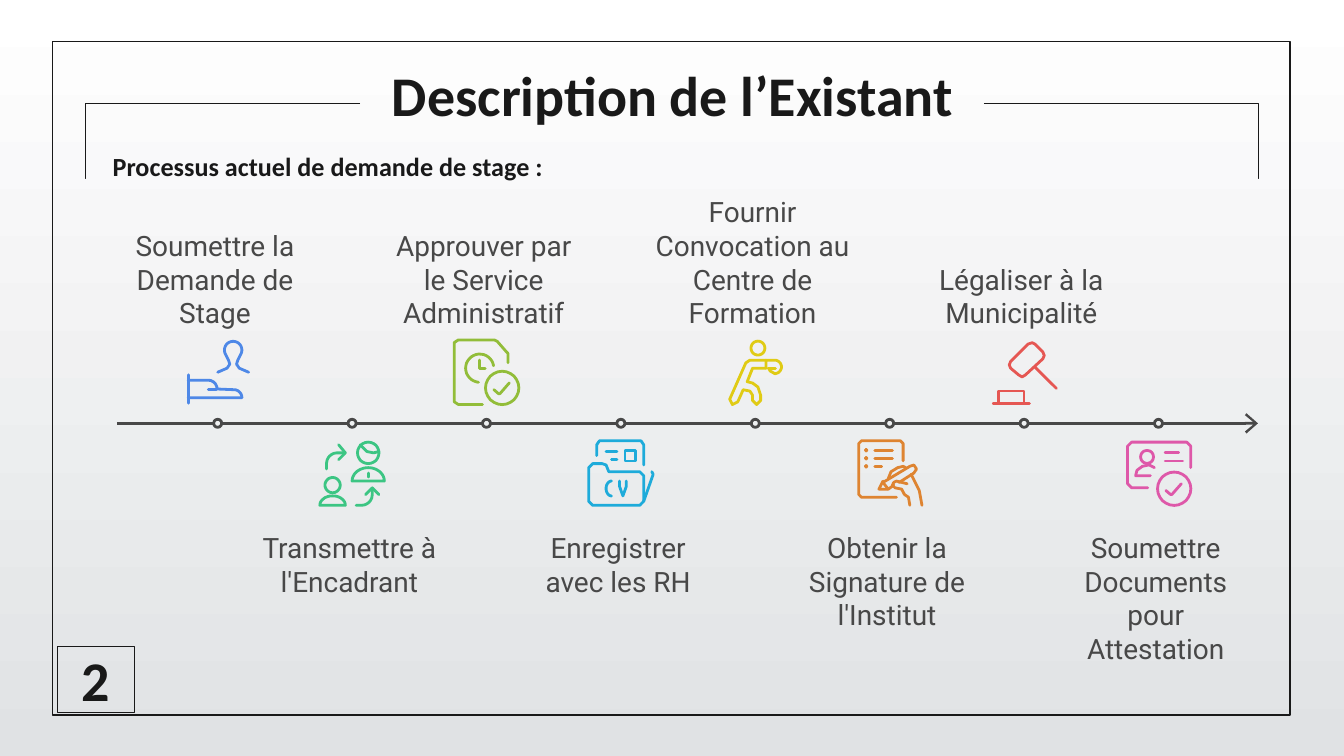
"""Build the slide on the current internship request process."""
from math import cos, radians, sin

from lxml import etree
from pptx import Presentation
from pptx.dml.color import RGBColor
from pptx.enum.shapes import MSO_CONNECTOR, MSO_SHAPE
from pptx.enum.text import MSO_ANCHOR, PP_ALIGN
from pptx.oxml.ns import qn
from pptx.util import Inches, Pt

RECT, OVAL = MSO_SHAPE.RECTANGLE, MSO_SHAPE.OVAL
LINE, ELBOW = MSO_CONNECTOR.STRAIGHT, MSO_CONNECTOR.ELBOW
TOP, MIDDLE, BOTTOM = MSO_ANCHOR.TOP, MSO_ANCHOR.MIDDLE, MSO_ANCHOR.BOTTOM
CENTER = PP_ALIGN.CENTER

INK = RGBColor(0x19, 0x19, 0x19)
GREY = RGBColor(0x48, 0x48, 0x48)
WHITE = RGBColor(0xFF, 0xFF, 0xFF)
MIST = RGBColor(0xE0, 0xE2, 0xE4)
BLUE = RGBColor(0x4E, 0x88, 0xE7)
GREEN = RGBColor(0x3C, 0xC5, 0x83)
LIME = RGBColor(0x92, 0xBD, 0x39)
CYAN = RGBColor(0x1E, 0xAB, 0xDA)
GOLD = RGBColor(0xE0, 0xCB, 0x15)
AMBER = RGBColor(0xDE, 0x84, 0x31)
RED = RGBColor(0xE5, 0x57, 0x53)
PINK = RGBColor(0xDE, 0x58, 0xA9)

WIDE = 10
HIGH = WIDE * 9 / 16
FIRST, PITCH, ROW = 1.62, 1, 0.25
AXIS, START, END = 3.15, 0.87, 9.36
RADIUS, ICON = 0.03, 0.48
ABOVE, BELOW = 2.53, 3.28


def arc(x, y, r, a=0, b=360, ry=None):
    """Return points along an elliptical arc, with angles in degrees."""
    turns = [radians(a + (b - a) * i / 24) for i in range(25)]
    return [(x + r * cos(t), y + (ry or r) * sin(t)) for t in turns]


TICK = [arc(35.7, 35.7, 12.4), [(41, 32), (34, 40), (33, 40), (29.5, 37)]]
HAND = [
    [(2, 47), (2, 26)], [(23, 37), (17, 37)],
    [(2, 30), *arc(17, 36.5, 6.5, -90, 0), *arc(36, 43, 6, -90, 0), (2, 43)],
    [(47, 24), (40, 21), (38, 18), (39, 15), *arc(35.5, 7.5, 6.5, 30, -210),
     (32, 15), (33, 18), (31, 21), (24, 24)]]
SWAP = [
    arc(9.5, 33, 5.7), [*arc(9.5, 48, 9.5, -180, 0, 7), (0, 48)],
    arc(36, 9, 8), [*arc(36, 30, 12, -180, 0, 10), (24, 30)],
    [(44, 8), (40, 9), (35, 8), (30, 3)], [(36, 24), (36, 27)],
    [(27, 48), *arc(31, 40, 8, 90, 0), (39, 35)], [(34, 40), (39, 35), (44, 40)],
    [(5, 21), *arc(13, 17, 8, 180, 270), (19, 9)], [(14, 14), (19, 9), (14, 3)]]
CLOCK = [
    [(21, 48), (3, 48), (0, 46), (0, 2), (3, 0), (30, 0), (32, 1), (39, 9), (40, 10), (40, 17)],
    arc(19, 21, 10.5, 95, 350), [(19, 15), (19, 21), (23, 21)], *TICK]
FOLDER = [
    [(15, 23), (13, 18), (10, 17), (3, 17), (0, 20), (0, 45), (3, 48), (38, 48), (41, 45),
     (41, 26), (38, 23), (15, 23)],
    [(6, 11), (6, 3), (8, 0), (39, 0), (41, 3), (41, 18)], [(47, 23), (48, 25), (41, 45)],
    arc(17, 35.5, 4, -90, -270, 5.5), [(23, 30), (23, 34), (25.5, 41), (28, 34), (28, 30)],
    [(27, 7), (35, 7), (35, 15), (27, 15), (27, 7)], [(13, 8), (21, 8)], [(17, 14), (21, 14)]]
WALKER = [
    arc(26, 6, 5.2), [(34, 21), (39, 21)],
    [(32, 21), (32, 15), *arc(38.5, 20, 5, -90, 90), (35, 23), (34, 21)],
    [(32, 15), (20, 15), (17, 17), (5, 44), (7, 48), (11, 46), (15, 37), (20, 38), (22, 41),
     (22, 45), (25, 48), (28, 45), (28, 41), (26, 35), (22, 32), (18, 31), (22, 21), (32, 21)]]
PEN = [
    [(29, 42), (3, 42), (1, 40), (1, 2), (3, 0), (32, 0), (34, 2), (34, 15)],
    *[[(13, y), (x, y)] for y, x in ((7, 26), (13, 26), (19, 18))],
    *[arc(6.5, y, 0.5) for y in (7, 13, 19)],
    [(36, 20), (34, 19), (30, 20), (25, 23), (23, 28)], [(19, 30), (16, 36), (23, 36)],
    [(31, 31), (42, 24), (44, 21), (42, 18), (39, 19), (19, 31), (23, 36), (27, 33)],
    [(37, 32), (29, 30), (27, 31), (26, 33), (28, 35), (33, 36), (35, 40), (38, 42), (39, 48)],
    [(48, 48), (46, 37), (40, 25)]]
GAVEL = [
    [(1, 47), (28, 47)], [(24, 47), (24, 38), (5, 38), (5, 47)], [(32, 20), (48, 36)],
    [(14, 16), (27, 3), (30, 2), (32, 3), (38, 9), (39, 11.5), (38, 14), (25, 26),
     (22.5, 27.5), (20, 26), (14, 21), (13, 18.5), (14, 16)]]
CARD = [
    [(48, 20), (48, 4), (45, 1), (4, 1), (1, 4), (1, 32), (4, 35), (16, 35)],
    arc(15.5, 12, 4.8), [(18, 26), (7, 26), (8, 22), (12, 19), (17, 18), (21, 20)],
    [(29, 9), (39, 9)], [(29, 15), (42, 15)], *TICK]
STEPS = [
    ("Soumettre la\vDemande de\vStage", BLUE, HAND),
    ("Transmettre à\vl'Encadrant", GREEN, SWAP),
    ("Approuver par\vle Service\vAdministratif", LIME, CLOCK),
    ("Enregistrer\vavec les RH", CYAN, FOLDER),
    ("Fournir\vConvocation au\vCentre de\vFormation", GOLD, WALKER),
    ("Obtenir la\vSignature de\vl'Institut", AMBER, PEN),
    ("Légaliser à la\vMunicipalité", RED, GAVEL),
    ("Soumettre\vDocuments\vpour\vAttestation", PINK, CARD)]


def style(shape, color, width):
    """Leave a shape hollow, with a plain outline."""
    shape.shadow.inherit = False
    shape.fill.background()
    shape.line.color.rgb, shape.line.width = color, Pt(width)


def outline(slide, kind, box, color, width):
    """Add a hollow preset shape."""
    shape = slide.shapes.add_shape(kind, *map(Inches, box))
    style(shape, color, width)
    return shape


def write(shape, text, size, font, color, bold=False, anchor=TOP, pad=0.1):
    """Put centred text into a shape."""
    frame = shape.text_frame
    frame.text, frame.word_wrap, frame.vertical_anchor = text, True, anchor
    frame.margin_top = frame.margin_bottom = Inches(pad)
    para = frame.paragraphs[0]
    para.alignment = CENTER
    for run in para.runs:
        run.font.size, run.font.name, run.font.bold = Pt(size), font, bold
        run.font.color.rgb = color
    return para


def label(slide, box, *args, **more):
    """Add a text box."""
    return write(slide.shapes.add_textbox(*map(Inches, box)), *args, **more)


def link(slide, kind, ends, color, width):
    """Add a connector without shadow."""
    line = slide.shapes.add_connector(kind, *map(Inches, ends))
    line.line.color.rgb, line.line.width = color, Pt(width)
    etree.SubElement(line._element.spPr, qn("a:effectLst"))
    return line


def bracket(slide, ends):
    """Add an elbow that turns down at its far end."""
    line = link(slide, ELBOW, ends, INK, 0.75)
    guides = line._element.spPr.find(qn("a:prstGeom")).get_or_add_avLst()
    etree.SubElement(guides, qn("a:gd"), name="adj1", fmla="val 100200")


def draw(slide, x, y, strokes, color):
    """Add one icon made of open strokes."""
    fine = [[(a * 10, b * 10) for a, b in stroke] for stroke in strokes]
    pencil = slide.shapes.build_freeform(*fine[0][0], scale=Inches(1) / 1000)
    for stroke in fine:
        pencil.move_to(*stroke[0])
        pencil.add_line_segments(stroke[1:], close=False)
    icon = pencil.convert_to_shape(Inches(x), Inches(y))
    style(icon, color, 1.5)
    icon.line._get_or_add_ln().set("cap", "rnd")


def axis(slide):
    """Add the time line, broken at each marker, with its arrow."""
    spots = [FIRST + PITCH * i for i in range(len(STEPS))]
    for x in spots:
        outline(slide, OVAL, (x - RADIUS, AXIS - RADIUS, 2 * RADIUS, 2 * RADIUS), GREY, 1.5)
    lefts = [START] + [x + RADIUS for x in spots]
    rights = [x - RADIUS for x in spots] + [END]
    for left, right in zip(lefts, rights):
        line = link(slide, LINE, (left, AXIS, right, AXIS), GREY, 1.5)
    etree.SubElement(line.line._get_or_add_ln(), qn("a:tailEnd"), type="arrow", w="lg", len="med")


def step(slide, i, text, color, icon):
    """Add the icon and label of one step, in turn above and below."""
    x, upper = FIRST + PITCH * i, i % 2 == 0
    draw(slide, x - ICON / 2, ABOVE if upper else BELOW, icon, color)
    tall = ROW * (text.count("\v") + 1) + 0.1
    top = ABOVE - 0.03 - tall if upper else BELOW + 0.62
    para = label(slide, (x - 0.92, top, 1.8, tall), text, 15, "Roboto", GREY,
                 anchor=BOTTOM if upper else TOP, pad=0.05)
    para.line_spacing = Pt(18)


def main():
    """Build and save the slide."""
    deck = Presentation()
    deck.slide_width, deck.slide_height = Inches(WIDE), Inches(HIGH)
    slide = deck.slides.add_slide(deck.slide_layouts[6])
    fill = slide.background.fill
    fill.gradient()
    fill.gradient_angle = 270
    for stop, color, place in zip(fill.gradient_stops, (WHITE, MIST), (0, 1)):
        stop.color.rgb, stop.position = color, place
    outline(slide, RECT, (0.39, 0.31, 9.21, 5.01), INK, 0.75)
    label(slide, (0.79, 0.35, 8.43, 0.63), "Description de l’Existant", 30, "Calibri", INK, bold=True)
    for near, far in ((2.68, 0.64), (WIDE - 2.68, WIDE - 0.64)):
        bracket(slide, (near, 0.77, far, 1.33))
    number = outline(slide, RECT, (0.43, 4.81, 0.57, 0.49), INK, 0.75)
    write(number, "2", 30, "Calibri", INK, bold=True, anchor=MIDDLE)
    label(slide, (0.43, 1.1, 4.02, 0.24), "Processus actuel de demande de stage :",
          14, "Calibri", INK, bold=True, pad=0.02)
    axis(slide)
    for i, (text, color, icon) in enumerate(STEPS):
        step(slide, i, text, color, icon)
    deck.save("out.pptx")


if __name__ == "__main__":
    main()
